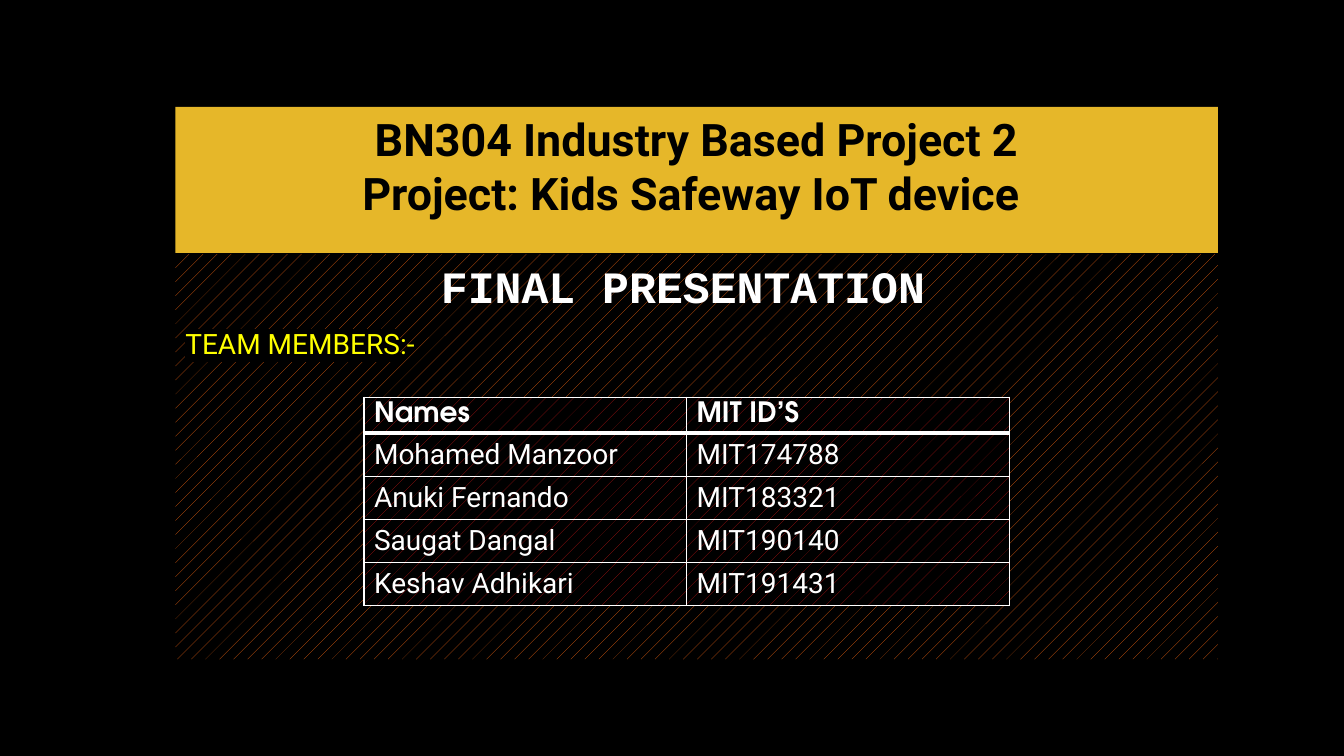
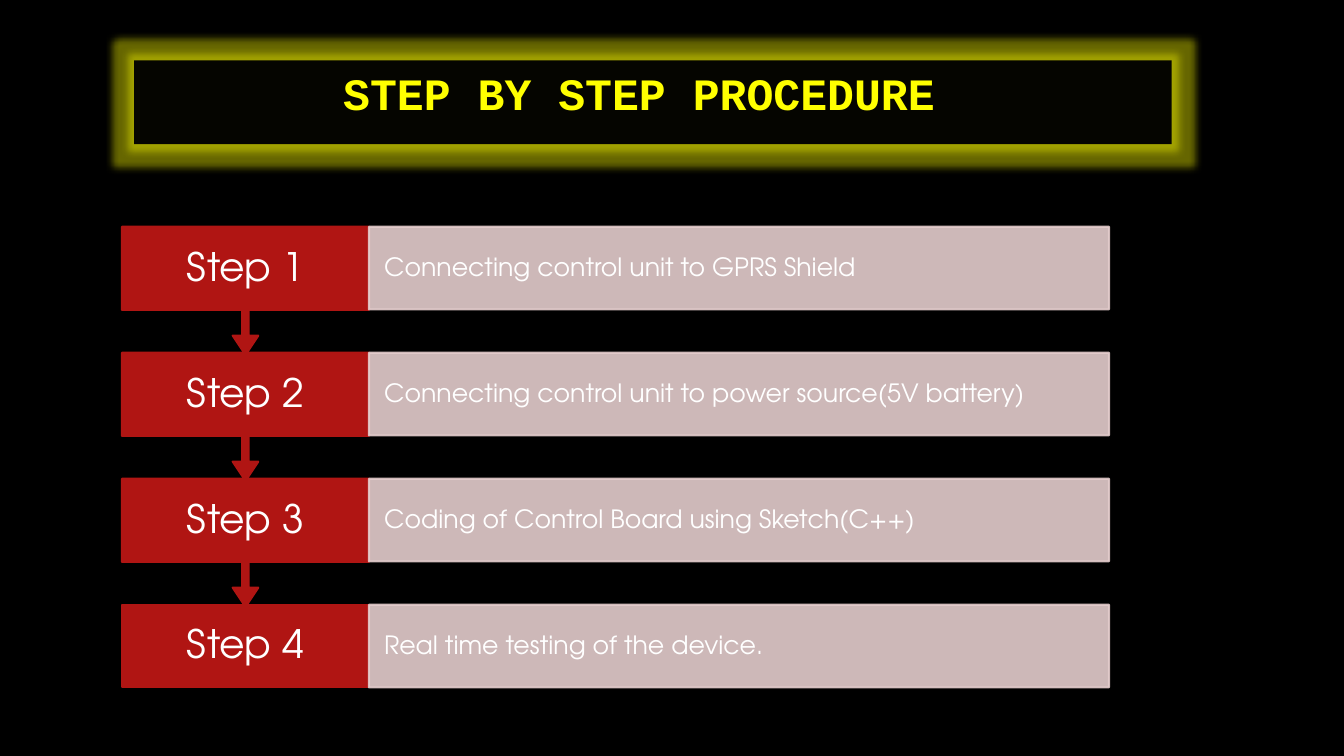
from lxml import etree
from pptx import Presentation
from pptx.dml.color import RGBColor
from pptx.enum import dml, shapes, text
from pptx.oxml import ns
from pptx.util import Inches, Pt

COLOURS = {
    "black": "000000",
    "white": "FFFFFF",
    "yellow": "FFFF00",
    "gold": "E6B729",
    "orange": "EA6312",
    "red": "B01513",
    "pink": "E4CCCC",
}
SANS, MONO, GEOMETRIC = "Roboto", "Courier New", "TeX Gyre Adventor"
TITLE_SIZE = 32

COVER_TITLE = ["BN304 Industry Based Project 2", "Project: Kids Safeway IoT device "]
COVER_HEADING = "FINAL PRESENTATION "
TEAM_LABEL = ["TEAM MEMBERS", ":-"]
TEAM = [
    ("Names", "MIT ID’S"),
    ("Mohamed Manzoor", "MIT174788"),
    ("Anuki Fernando", "MIT183321"),
    ("Saugat Dangal", "MIT190140"),
    ("Keshav Adhikari", "MIT191431"),
]
STEPS_TITLE = "STEP BY STEP PROCEDURE "
STEPS = [
    "Connecting control unit to GPRS Shield",
    "Connecting control unit to power source(5V battery)",
    "Coding of Control Board using Sketch(C++)",
    "Real time testing of the device.",
]

STEP_LEFT, STEP_TOP, STEP_PITCH = 1.21, 2.25, 1.25
LABEL_WIDTH, DETAIL_WIDTH = 2.45, 7.34
BOX_HEIGHT, CALLOUT_HEIGHT = 0.82, 1.27
CALLOUT_ADJUSTMENTS = [0.05, 0.1, 0.15, 0.65]


def rgb(name):
    return RGBColor.from_string(COLOURS[name])


def add_element(parent, tag, **attributes):
    return etree.SubElement(parent, ns.qn(tag), attributes)


def set_alpha(fill_parent, percent):
    colour = fill_parent.find(ns.qn("a:solidFill"))[0]
    add_element(colour, "a:alpha", val=str(percent * 1000))


def set_pattern(fill, colour):
    fill.patterned()
    fill.pattern = dml.MSO_PATTERN.PERCENT_5
    fill.fore_color.rgb = rgb(colour)
    fill.back_color.rgb = rgb("black")


def style(paragraph, size, font, colour, bold=False, align=text.PP_ALIGN.LEFT):
    paragraph.alignment = align
    paragraph.font.size = Pt(size)
    paragraph.font.name = font
    paragraph.font.bold = bold
    paragraph.font.color.rgb = rgb(colour)


def add_box(slide, at, fill=None, kind=shapes.MSO_SHAPE.RECTANGLE, anchor=text.MSO_ANCHOR.TOP):
    shape = slide.shapes.add_shape(kind, *map(Inches, at))
    shape.shadow.inherit = False
    shape.line.fill.background()
    if fill:
        shape.fill.solid()
        shape.fill.fore_color.rgb = rgb(fill)
    shape.text_frame.word_wrap = True
    shape.text_frame.vertical_anchor = anchor
    return shape


def add_title(slide, at, lines, fill, font, colour):
    shape = add_box(slide, at, fill)
    paragraph = shape.text_frame.paragraphs[0]
    for index, line in enumerate(lines):
        if index:
            paragraph.add_line_break()
        paragraph.add_run().text = line
    style(paragraph, TITLE_SIZE, font, colour, True, text.PP_ALIGN.CENTER)
    return shape


def add_slide(presentation):
    slide = presentation.slides.add_slide(presentation.slide_layouts[6])
    slide.background.fill.solid()
    slide.background.fill.fore_color.rgb = rgb("black")
    return slide


def set_borders(cell, **widths):
    properties = cell._tc.get_or_add_tcPr()
    for index, side in enumerate("LRTB"):
        line = etree.Element(ns.qn(f"a:ln{side}"), w=str(Pt(widths.get(side, 1))))
        fill = add_element(line, "a:solidFill")
        add_element(fill, "a:srgbClr", val=COLOURS["white"])
        properties.insert(index, line)


def add_team_table(slide):
    frame = slide.shapes.add_table(
        len(TEAM), len(TEAM[0]), Inches(3.61), Inches(3.94), Inches(6.4), Inches(1.5)
    )
    table = frame.table
    table.first_row = table.horz_banding = False
    for row_index, row in enumerate(TEAM):
        header = row_index == 0
        for column_index, value in enumerate(row):
            cell = table.cell(row_index, column_index)
            cell.text = value
            font = GEOMETRIC if header else SANS
            style(cell.text_frame.paragraphs[0], 20, font, "white", header)
            set_pattern(cell.fill, "red")
            set_borders(cell, B=3 if header else 1, T=3 if row_index == 1 else 1)


def build_cover(presentation):
    slide = add_slide(presentation)
    add_title(slide, (1.74, 1.06, 10.34, 1.45), COVER_TITLE, "gold", SANS, "black")
    body = add_box(slide, (1.74, 2.52, 10.34, 4.02))
    set_pattern(body.fill, "orange")
    heading = body.text_frame.paragraphs[0]
    heading.text = COVER_HEADING
    style(heading, TITLE_SIZE, MONO, "white", True, text.PP_ALIGN.CENTER)
    label = body.text_frame.add_paragraph()
    label.space_before = Pt(10)
    for part in TEAM_LABEL:
        label.add_run().text = part
    style(label, 20, SANS, "yellow")
    highlight = add_element(label.runs[0]._r.get_or_add_rPr(), "a:highlight")
    add_element(highlight, "a:srgbClr", val=COLOURS["black"])
    add_team_table(slide)


def add_step_box(slide, at, fill, value, size, align, inset, kind=shapes.MSO_SHAPE.RECTANGLE):
    shape = add_box(slide, at, fill, kind, text.MSO_ANCHOR.MIDDLE)
    shape.line.color.rgb = rgb(fill)
    shape.line.width = Pt(1.5)
    frame = shape.text_frame
    frame.margin_left = frame.margin_right = Inches(inset)
    paragraph = frame.paragraphs[0]
    paragraph.text = value
    paragraph.line_spacing = 0.9
    style(paragraph, size, GEOMETRIC, "white", align=align)
    return shape


def build_steps(presentation):
    slide = add_slide(presentation)
    for index in reversed(range(len(STEPS))):
        top = STEP_TOP + index * STEP_PITCH
        last = index == len(STEPS) - 1
        kind = shapes.MSO_SHAPE.RECTANGLE if last else shapes.MSO_SHAPE.DOWN_ARROW_CALLOUT
        height = BOX_HEIGHT if last else CALLOUT_HEIGHT
        label = add_step_box(
            slide, (STEP_LEFT, top, LABEL_WIDTH, height), "red",
            f"Step {index + 1}", 28, text.PP_ALIGN.CENTER, 0.17, kind,
        )
        if not last:
            for position, value in enumerate(CALLOUT_ADJUSTMENTS):
                label.adjustments[position] = value
        detail = add_step_box(
            slide, (STEP_LEFT + LABEL_WIDTH, top, DETAIL_WIDTH, BOX_HEIGHT), "pink",
            STEPS[index], 18, text.PP_ALIGN.LEFT, 0.15,
        )
        properties = detail._element.spPr
        set_alpha(properties, 90)
        set_alpha(properties.find(ns.qn("a:ln")), 90)

    title = add_title(slide, (1.33, 0.6, 10.29, 0.83), [STEPS_TITLE], "black", MONO, "yellow")
    properties = title._element.spPr
    set_alpha(properties, 97)
    glow = add_element(properties.find(ns.qn("a:effectLst")), "a:glow", rad=str(Pt(11)))
    colour = add_element(glow, "a:srgbClr", val=COLOURS["yellow"])
    add_element(colour, "a:alpha", val="40000")


def main():
    presentation = Presentation()
    presentation.slide_width = Inches(13.33)
    presentation.slide_height = Inches(7.5)
    build_cover(presentation)
    build_steps(presentation)
    presentation.save("out.pptx")


if __name__ == "__main__":
    main()
